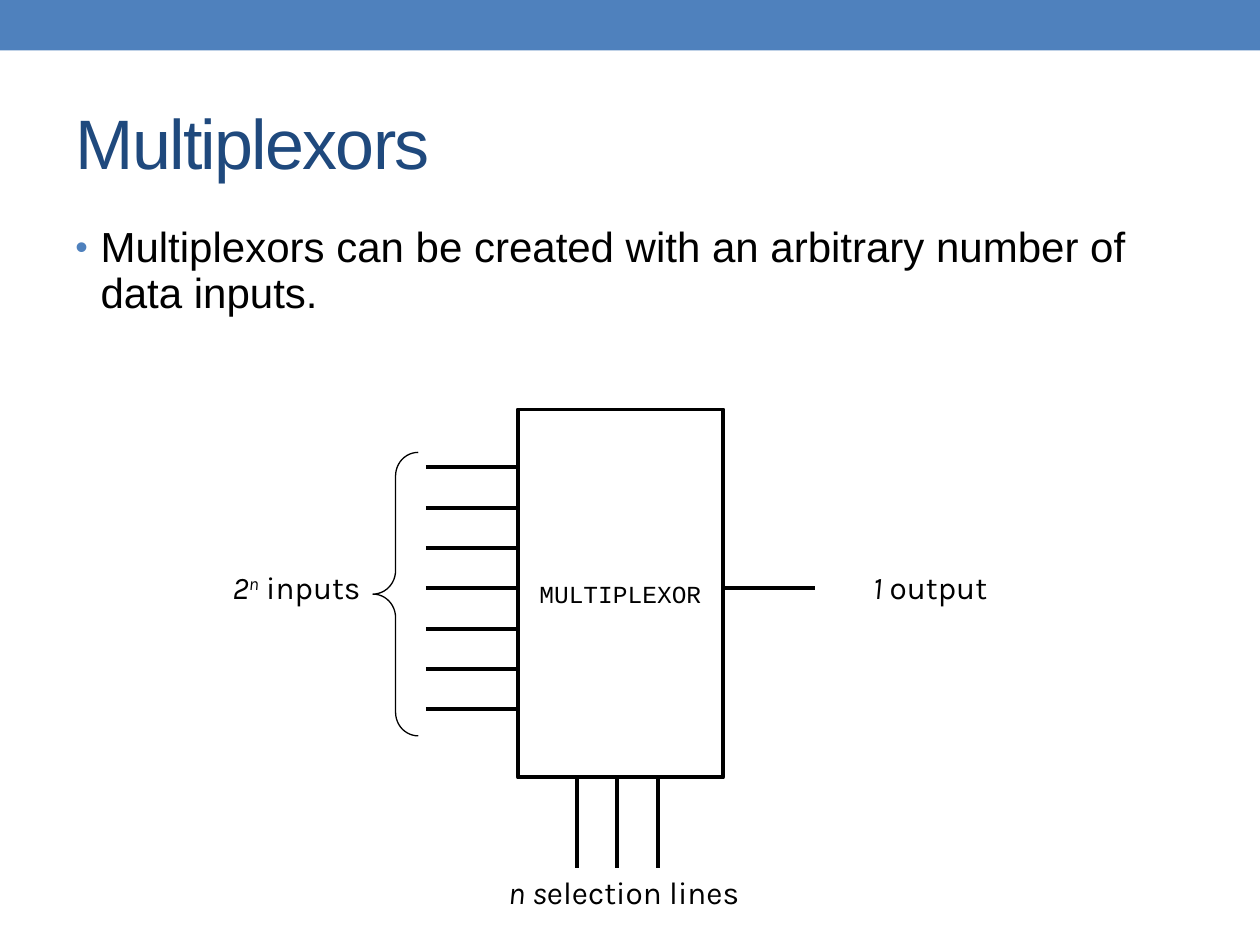
import pptx
import pptx.util
import pptx.dml.color
import pptx.enum.shapes
import pptx.enum.text
import pptx.oxml.ns
import lxml.etree

Inches = pptx.util.Inches
Pt = pptx.util.Pt
SHAPE = pptx.enum.shapes.MSO_SHAPE
ALIGN = pptx.enum.text.PP_ALIGN
ANCHOR = pptx.enum.text.MSO_ANCHOR

BLUE, NAVY, BLACK, WHITE = "4F81BD", "1F497D", "000000", "FFFFFF"


def color(code):
    return pptx.dml.color.RGBColor.from_string(code)


def add_sub(parent, tag, **attrs):
    return lxml.etree.SubElement(parent, pptx.oxml.ns.qn(tag), attrs)


def write(shape, *runs, size=18, font="Karla", ink=BLACK, align=ALIGN.LEFT,
          anchor=ANCHOR.TOP, bullet=False, space=None):
    """Fill a shape with one paragraph; a run is (text, italic, raised)."""
    frame = shape.text_frame
    frame.word_wrap = True
    frame.auto_size = pptx.enum.text.MSO_AUTO_SIZE.NONE
    frame.vertical_anchor = anchor
    para = frame.paragraphs[0]
    para.alignment = align
    if bullet:
        add_bullet(para)
    for text, italic, raised in runs:
        run = para.add_run()
        run.text = text
        face = run.font
        face.name, face.size, face.italic = font, Pt(size), italic
        face.color.rgb = color(ink)
        props = run._r.get_or_add_rPr()
        if raised:
            props.set("baseline", "30000")
        if space is not None:
            props.set("spc", str(space))


def add_bullet(para):
    para.line_spacing = 0.9
    props = para._p.get_or_add_pPr()
    props.set("marL", str(Inches(0.2)))
    props.set("indent", str(Inches(-0.2)))
    add_sub(add_sub(props, "a:buClr"), "a:srgbClr", val=BLUE)
    add_sub(props, "a:buSzPct", val="85000")
    add_sub(props, "a:buFont", typeface="Arial")
    add_sub(props, "a:buChar", char="•")


def add_box(slide, kind, left, top, width, height, fill=None, line=None):
    shape = slide.shapes.add_shape(
        kind, Inches(left), Inches(top), Inches(width), Inches(height))
    shape.shadow.inherit = False
    if fill:
        shape.fill.solid()
        shape.fill.fore_color.rgb = color(fill)
    else:
        shape.fill.background()
    if line:
        shape.line.color.rgb = color(BLACK)
        shape.line.width = Pt(line)
    else:
        shape.line.fill.background()
    return shape


def add_text(slide, left, top, width, height, *runs, **style):
    box = slide.shapes.add_textbox(
        Inches(left), Inches(top), Inches(width), Inches(height))
    write(box, *runs, **style)


def add_wire(slide, x1, y1, x2, y2):
    wire = slide.shapes.add_connector(
        pptx.enum.shapes.MSO_CONNECTOR.STRAIGHT,
        Inches(x1), Inches(y1), Inches(x2), Inches(y2))
    wire.line.color.rgb = color(BLACK)
    wire.line.width = Pt(2.25)
    add_sub(wire._element.spPr, "a:effectLst")


def main():
    deck = pptx.Presentation()
    deck.slide_width, deck.slide_height = Inches(10), Inches(7.5)
    slide = deck.slides.add_slide(deck.slide_layouts[5])

    # Banner, title and bullet
    add_box(slide, SHAPE.RECTANGLE, 0, 0, 10, 0.4, fill=BLUE)
    title = slide.shapes.title
    title.left, title.top = Inches(0.5), Inches(0.58)
    title.width, title.height = Inches(9), Inches(1.08)
    write(title, ("Multiplexors", False, False), size=40, font="Arial",
          ink=NAVY, anchor=ANCHOR.MIDDLE, space=-100)
    add_text(slide, 0.5, 1.75, 9, 5.33,
             ("Multiplexors can be created with an arbitrary number of "
              "data inputs.", False, False),
             size=24, font="Arial", bullet=True)

    # Multiplexor block
    block = add_box(slide, SHAPE.RECTANGLE, 4.11, 3.25, 1.63, 2.92,
                    fill=WHITE, line=2.25)
    write(block, ("MULTIPLEXOR", False, False), size=14, font="Courier New",
          align=ALIGN.CENTER, anchor=ANCHOR.MIDDLE)

    # Input, output and selection wires
    pitch = 0.32
    for i in range(7):
        y = 3.71 + i * pitch
        add_wire(slide, 3.38, y, 4.1, y)
    add_wire(slide, 5.74, 4.67, 6.47, 4.67)
    for i in range(3):
        x = 4.58 + i * pitch
        add_wire(slide, x, 6.17, x, 6.89)

    # Brace and labels
    brace = add_box(slide, SHAPE.LEFT_BRACE, 2.96, 3.59, 0.36, 2.25, line=0.75)
    brace.adjustments[0], brace.adjustments[1] = 0.52, 0.5
    add_text(slide, 1.25, 4.46, 1.71, 0.4, ("2", True, False),
             ("n", True, True), (" inputs", False, False), align=ALIGN.RIGHT)
    add_text(slide, 6.83, 4.46, 1.33, 0.4,
             ("1", True, False), (" output", False, False))
    add_text(slide, 3.74, 6.88, 2.42, 0.4, ("n s", True, False),
             ("election lines", False, False), align=ALIGN.CENTER)

    deck.save("out.pptx")


if __name__ == "__main__":
    main()
